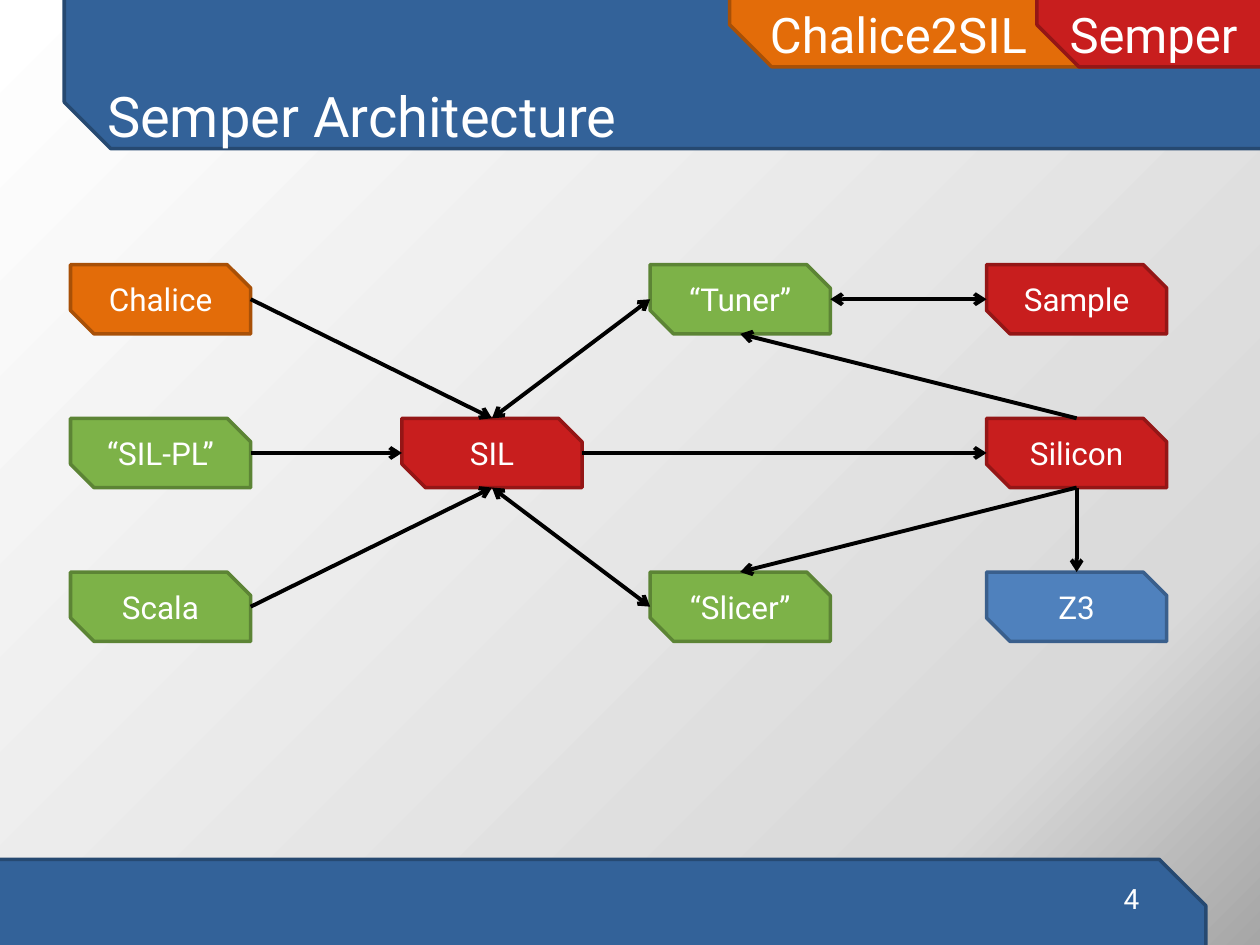
"""Build the Semper Architecture slide: a tool diagram between two snipped bands."""
import copy
import dataclasses
import typing

import pptx
import pptx.dml.color
import pptx.enum.shapes
import pptx.enum.text
import pptx.oxml
import pptx.oxml.ns
import pptx.util

Inches = pptx.util.Inches
Align = pptx.enum.text.PP_ALIGN
Anchor = pptx.enum.text.MSO_ANCHOR
TOP, LEFT, BOTTOM, RIGHT = range(4)


class Paint(typing.NamedTuple):
    fill: str
    line: str


@dataclasses.dataclass(frozen=True)
class Theme:
    font: str = "Roboto"
    text: str = "FFFFFF"
    arrow: str = "000000"
    backdrop: tuple = ((0, "FFFFFF"), (0.81, "D9D9D9"), (1, "A6A6A6"))
    navy: Paint = Paint("336299", "264971")
    orange: Paint = Paint("E36C09", "A85007")
    red: Paint = Paint("C81E1E", "941616")
    green: Paint = Paint("7DB248", "5C8435")
    blue: Paint = Paint("4F81BD", "3A5F8C")
    title_size: float = 32
    tab_size: float = 28
    node_size: float = 18
    number_size: float = 16
    outline: float = 2
    arrow_width: float = 2.25


THEME = Theme()


class Panel(typing.NamedTuple):
    left: float
    top: float
    width: float
    height: float
    snip: float
    paint: Paint


class Tab(typing.NamedTuple):
    label: str
    panel: Panel
    right_inset: float


class Node(typing.NamedTuple):
    label: str
    column: int
    row: int
    paint: Paint


class Arrow(typing.NamedTuple):
    start: str
    start_side: int
    end: str
    end_side: int
    two_way: bool = False


COLUMNS = (0.56, 3.19, 5.16, 7.83)
FIRST_ROW, ROW_STEP = 2.1, 1.22
NODE_WIDTH, NODE_HEIGHT, NODE_SNIP = 1.43, 0.55, 0.34

BANDS = (
    Panel(-0.35, 6.82, 9.92, 1.42, 0.26, THEME.navy),
    Panel(0.51, -0.99, 9.92, 2.17, 0.17, THEME.navy),
)
TABS = (
    Tab("Chalice2SIL", Panel(5.79, -0.86, 2.99, 1.39, 0.24, THEME.orange), 0.31),
    Tab("Semper", Panel(8.23, -0.86, 2.36, 1.39, 0.24, THEME.red), 0.51),
)
NODES = (
    Node("Scala", 0, 2, THEME.green),
    Node("“SIL-PL”", 0, 1, THEME.green),
    Node("Chalice", 0, 0, THEME.orange),
    Node("SIL", 1, 1, THEME.red),
    Node("Silicon", 3, 1, THEME.red),
    Node("Sample", 3, 0, THEME.red),
    Node("“Slicer”", 2, 2, THEME.green),
    Node("“Tuner”", 2, 0, THEME.green),
    Node("Z3", 3, 2, THEME.blue),
)
ARROWS = (
    Arrow("SIL", RIGHT, "Silicon", LEFT),
    Arrow("Chalice", RIGHT, "SIL", TOP),
    Arrow("Scala", RIGHT, "SIL", BOTTOM),
    Arrow("“SIL-PL”", RIGHT, "SIL", LEFT),
    Arrow("Silicon", BOTTOM, "Z3", TOP),
    Arrow("Silicon", TOP, "“Tuner”", BOTTOM),
    Arrow("Sample", LEFT, "“Tuner”", RIGHT, True),
    Arrow("“Slicer”", LEFT, "SIL", BOTTOM, True),
    Arrow("“Tuner”", LEFT, "SIL", TOP, True),
    Arrow("Silicon", BOTTOM, "“Slicer”", TOP),
)


def rgb(value: str) -> pptx.dml.color.RGBColor:
    return pptx.dml.color.RGBColor.from_string(value)


def write(box, text: str, size: float, align, anchor=Anchor.MIDDLE) -> None:
    frame = box.text_frame
    frame.text = text
    frame.word_wrap = True
    frame.vertical_anchor = anchor
    para = frame.paragraphs[0]
    para.alignment = align
    for span in para.runs:
        span.font.name = THEME.font
        span.font.size = pptx.util.Pt(size)
        span.font.color.rgb = rgb(THEME.text)


def paint_background(page) -> None:
    fill = page.background.fill
    fill.gradient()
    fill.gradient_angle = 315
    stop_list = page.background._cSld.find(".//" + pptx.oxml.ns.qn("a:gsLst"))
    stop_list.insert(1, copy.deepcopy(stop_list[0]))
    for stop, (position, color) in zip(fill.gradient_stops, THEME.backdrop):
        stop.position = position
        stop.color.rgb = rgb(color)


def add_panel(page, panel: Panel):
    box = page.shapes.add_shape(
        pptx.enum.shapes.MSO_SHAPE.SNIP_2_DIAG_RECTANGLE,
        *map(Inches, panel[:4]))
    box.adjustments[0] = 0
    box.adjustments[1] = panel.snip
    box.shadow.inherit = False
    box.fill.solid()
    box.fill.fore_color.rgb = rgb(panel.paint.fill)
    box.line.color.rgb = rgb(panel.paint.line)
    box.line.width = pptx.util.Pt(THEME.outline)
    return box


def add_tab(page, tab: Tab) -> None:
    box = add_panel(page, tab.panel)
    write(box, tab.label, THEME.tab_size, Align.CENTER, Anchor.BOTTOM)
    frame = box.text_frame
    frame.margin_left = frame.margin_bottom = 0
    frame.margin_top = Inches(1.34)
    frame.margin_right = Inches(tab.right_inset)


def add_node(page, node: Node):
    box = add_panel(page, Panel(
        COLUMNS[node.column], FIRST_ROW + node.row * ROW_STEP,
        NODE_WIDTH, NODE_HEIGHT, NODE_SNIP, node.paint))
    write(box, node.label, THEME.node_size, Align.CENTER)
    return box


def add_arrow(page, arrow: Arrow, boxes: dict) -> None:
    line = page.shapes.add_connector(
        pptx.enum.shapes.MSO_CONNECTOR.STRAIGHT, 0, 0, 0, 0)
    line.begin_connect(boxes[arrow.start], arrow.start_side)
    line.end_connect(boxes[arrow.end], arrow.end_side)
    line.line.color.rgb = rgb(THEME.arrow)
    line.line.width = pptx.util.Pt(THEME.arrow_width)
    outline = line.line._get_or_add_ln()
    for end in ("a:headEnd", "a:tailEnd") if arrow.two_way else ("a:tailEnd",):
        head = pptx.oxml.parse_xml(f"<{end} {pptx.oxml.ns.nsdecls('a')} type='arrow'/>")
        outline.append(head)
    outline.addnext(pptx.oxml.parse_xml(f"<a:effectLst {pptx.oxml.ns.nsdecls('a')}/>"))


def main() -> None:
    deck = pptx.Presentation()
    deck.slide_width, deck.slide_height = Inches(10), Inches(7.5)
    page = deck.slides.add_slide(deck.slide_layouts.get_by_name("Title Only"))
    paint_background(page)
    for band in BANDS:
        add_panel(page, band)
    for tab in TABS:
        add_tab(page, tab)
    title = page.shapes.title
    title.left, title.top, title.width, title.height = map(Inches, (0.75, 0.29, 8.82, 1.25))
    write(title, "Semper Architecture", THEME.title_size, Align.LEFT)
    page.shapes._spTree.append(title._element)
    boxes = {node.label: add_node(page, node) for node in NODES}
    for arrow in ARROWS:
        add_arrow(page, arrow, boxes)
    number = page.shapes.add_textbox(*map(Inches, (6.81, 6.93, 2.33, 0.4)))
    write(number, "4", THEME.number_size, Align.RIGHT)
    deck.save("out.pptx")


if __name__ == "__main__":
    main()
